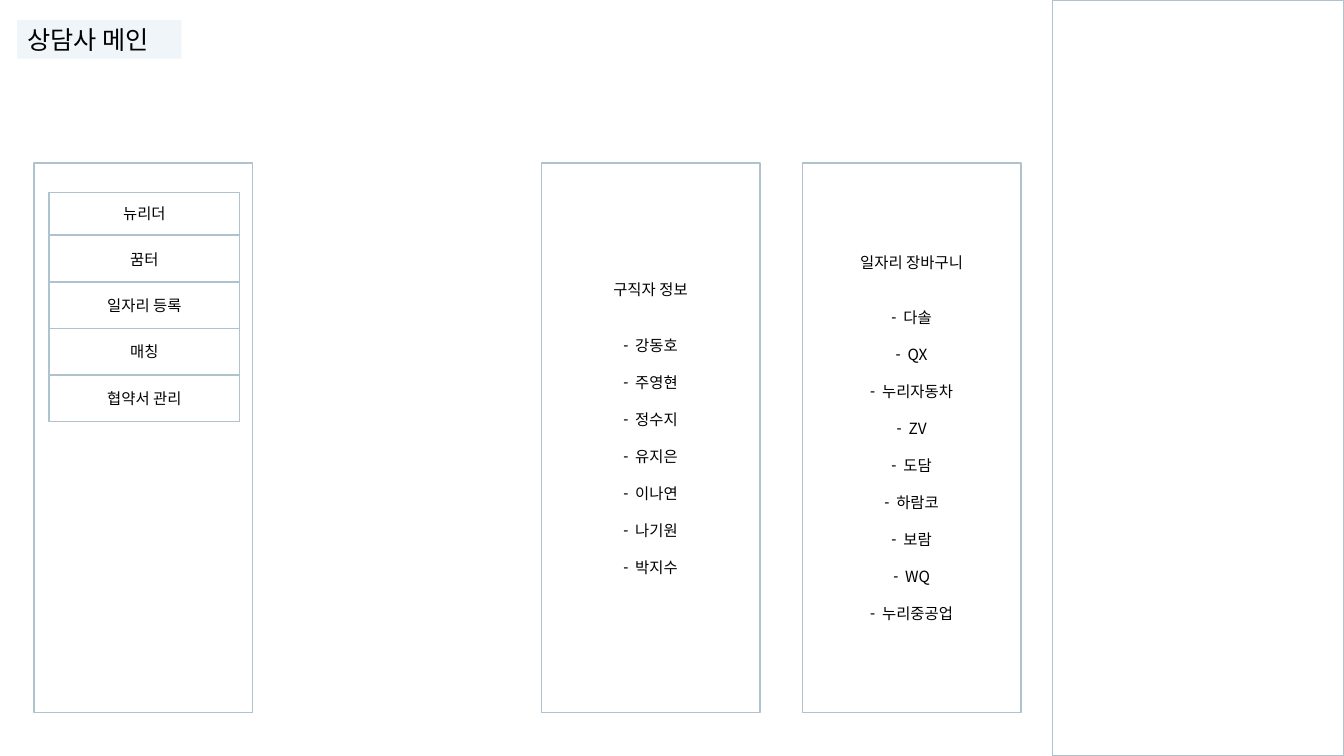
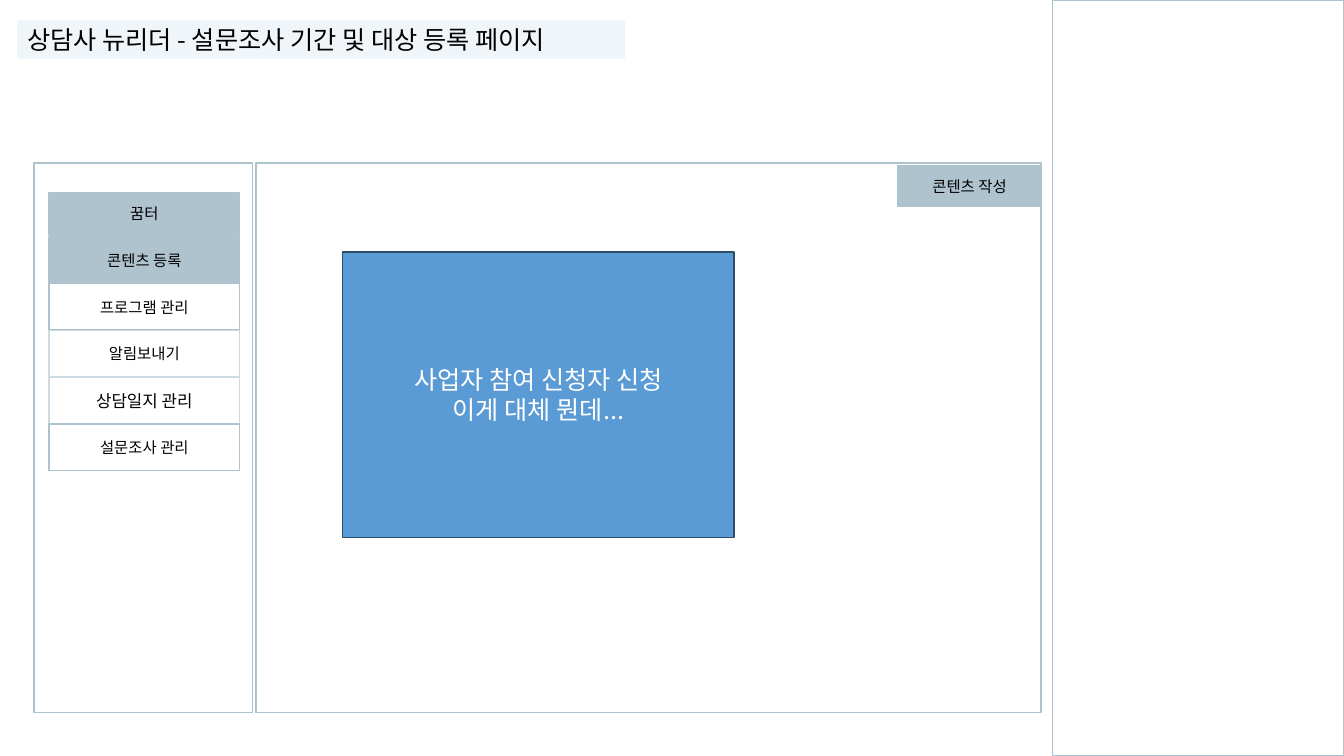
from dataclasses import dataclass

from lxml import etree
from pptx import Presentation
from pptx.dml.color import RGBColor
from pptx.enum.shapes import MSO_SHAPE
from pptx.enum.text import MSO_ANCHOR, MSO_AUTO_SIZE, PP_ALIGN
from pptx.oxml.ns import qn
from pptx.util import Cm, Pt

RECTANGLE = MSO_SHAPE.RECTANGLE
MIDDLE = MSO_ANCHOR.MIDDLE
NO_AUTOFIT = MSO_AUTO_SIZE.NONE
LEFT, CENTER = PP_ALIGN.LEFT, PP_ALIGN.CENTER
TWO_CONTENT_LAYOUT, TITLE_ONLY_LAYOUT = 3, 5


@dataclass(frozen=True)
class Theme:
    font: str = "Noto Sans CJK KR"
    text: RGBColor = RGBColor.from_string("000000")
    inverse: RGBColor = RGBColor.from_string("FFFFFF")
    title_band: RGBColor = RGBColor.from_string("F0F5F9")
    frame: RGBColor = RGBColor.from_string("AFC3CE")
    pale_frame: RGBColor = RGBColor.from_string("CDDAE1")
    notice: RGBColor = RGBColor.from_string("5B9BD5")
    notice_frame: RGBColor = RGBColor.from_string("2D4D6A")
    title_size: int = 18
    label_size: int = 11
    large_label_size: int = 12
    line_factor: float = 1.2
    line_width: int = 1


THEME = Theme()
PANEL_TOP, PANEL_HEIGHT, PANEL_WIDTH = 4.11, 13.84, 5.51


def write_text(shape, lines, size=THEME.label_size, color=THEME.text,
               align=CENTER, bulleted=False):
    """Fill a shape with paragraphs; bulleted puts a dash list under a heading."""
    frame = shape.text_frame
    frame.word_wrap = True
    frame.auto_size = NO_AUTOFIT
    frame.vertical_anchor = MIDDLE
    frame.text = "\n".join(lines)
    line_height = size * THEME.line_factor
    for index, paragraph in enumerate(frame.paragraphs):
        paragraph.alignment = align
        paragraph.line_spacing = Pt(line_height)
        gap_lines = (0, 2)[index] if index < 2 else 1
        paragraph.space_before = Pt(line_height * gap_lines if bulleted else 0)
        for run in paragraph.runs:
            run.font.name = THEME.font
            run.font.size = Pt(size)
            run.font.color.rgb = color
    for run_format in shape.element.iter(qn("a:rPr")):
        etree.SubElement(run_format, qn("a:ea"), typeface=THEME.font)
    if bulleted:
        for index, paragraph_format in enumerate(shape.element.iter(qn("a:pPr"))):
            indent = Cm(0.3) if index else 0
            paragraph_format.set("marL", str(indent))
            paragraph_format.set("indent", str(-indent))
            if index:
                etree.SubElement(paragraph_format, qn("a:buChar"), char="-")
            else:
                etree.SubElement(paragraph_format, qn("a:buNone"))


def place_box(slide, left, top, width, height, shape=None, fill=None, line=THEME.frame):
    """Style a rectangle, or the given placeholder, at a place in centimetres."""
    if shape is None:
        shape = slide.shapes.add_shape(RECTANGLE, 0, 0, 0, 0)
        shape.shadow.inherit = False
    shape.left, shape.top = Cm(left), Cm(top)
    shape.width, shape.height = Cm(width), Cm(height)
    if fill is None:
        shape.fill.background()
    else:
        shape.fill.solid()
        shape.fill.fore_color.rgb = fill
    if line is None:
        shape.line.fill.background()
    else:
        shape.line.color.rgb = line
        shape.line.width = Pt(THEME.line_width)
    return shape


presentation = Presentation()
presentation.slide_width = Cm(33.87)
presentation.slide_height = Cm(19.05)

plain = {}
selected = {"fill": THEME.frame}
pale = {"line": THEME.pale_frame}
label = THEME.label_size

# Shared page frame: title band, right column, sidebar and its menu
pages = [
    (TWO_CONTENT_LAYOUT, "상담사 메인", 4.14, 5.94, 1.17, [
        ("뉴리더", plain, label),
        ("꿈터", plain, label),
        ("일자리 등록", plain, label),
        ("매칭", plain, label),
        ("협약서 관리", plain, label),
    ]),
    (TITLE_ONLY_LAYOUT, "상담사 뉴리더 - 설문조사 기간 및 대상 등록 페이지", 15.32, 5.97, 1.18, [
        ("꿈터", selected, label),
        ("콘텐츠 등록", selected, label),
        ("프로그램 관리", plain, label),
        ("알림보내기", pale, label),
        ("상담일지 관리", pale, THEME.large_label_size),
        ("설문조사 관리", plain, label),
    ]),
]
for layout, title, title_width, menu_top, menu_step, menu in pages:
    slide = presentation.slides.add_slide(presentation.slide_layouts[layout])
    place_box(slide, 0.43, 0.51, title_width, 0.97, shape=slide.shapes.title,
              fill=THEME.title_band, line=None)
    write_text(slide.shapes.title, [title], size=THEME.title_size, align=LEFT)
    place_box(slide, 26.52, 0, 7.35, 19.05)
    place_box(slide, 0.86, PANEL_TOP, PANEL_WIDTH, PANEL_HEIGHT)
    for row, (text, style, size) in enumerate(menu):
        top = menu_top + (row - 1) * menu_step if row else 4.85
        item = place_box(slide, 1.24, top, 4.8, 1.17 if row else 1.07, **style)
        write_text(item, [text], size=size)

main_slide, survey_slide = presentation.slides

# Main page: two lists
lists = [
    (1, 13.64, 0.6, ["구직자 정보", "강동호", "주영현", "정수지", "유지은", "이나연",
                     "나기원", "박지수"]),
    (2, 20.22, 0.13, ["일자리 장바구니", "다솔", "QX", "누리자동차", "ZV", "도담",
                      "하람코", "보람", "WQ", "누리중공업"]),
]
for placeholder_index, left, bottom_margin, lines in lists:
    panel = place_box(main_slide, left, PANEL_TOP, PANEL_WIDTH, PANEL_HEIGHT,
                      shape=main_slide.placeholders[placeholder_index])
    write_text(panel, lines, bulleted=True)
    panel.text_frame.margin_bottom = Cm(bottom_margin)

# Survey page: content area, button and notice
place_box(survey_slide, 6.45, PANEL_TOP, 19.79, PANEL_HEIGHT)
button = place_box(survey_slide, 22.63, 4.17, 3.61, 1.04, fill=THEME.frame)
write_text(button, ["콘텐츠 작성"])
notice = place_box(survey_slide, 8.64, 6.35, 9.86, 7.19,
                   fill=THEME.notice, line=THEME.notice_frame)
write_text(notice, ["사업자 참여 신청자 신청", "이게 대체 뭔데..."],
           size=THEME.title_size, color=THEME.inverse)

presentation.save("out.pptx")
